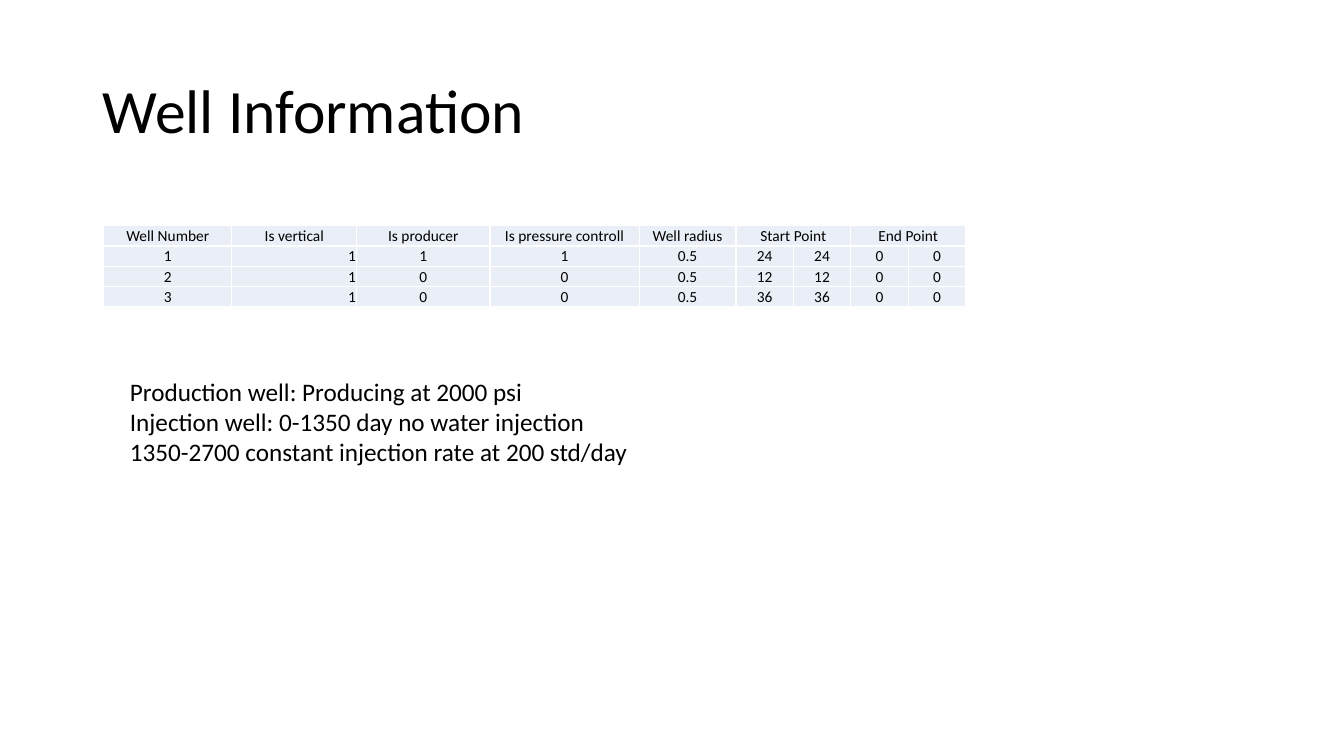
from lxml import etree
from pptx import Presentation
from pptx.dml.color import RGBColor
from pptx.enum.text import MSO_ANCHOR, PP_ALIGN
from pptx.oxml.ns import qn
from pptx.util import Inches, Pt

MIDDLE, TOP, BOTTOM = MSO_ANCHOR.MIDDLE, MSO_ANCHOR.TOP, MSO_ANCHOR.BOTTOM
LEFT, CENTER, RIGHT = PP_ALIGN.LEFT, PP_ALIGN.CENTER, PP_ALIGN.RIGHT

FONT = "Calibri"
BLACK, WHITE, PALE_BLUE = "000000", "FFFFFF", "EAEFF7"

COLUMN_WIDTHS = [1.27, 1.24, 1.32, 1.48, 0.96] + [0.57] * 4
ROW_HEIGHT = 0.2
VERTICAL_COLUMN = 1
WELLS = [
    ["Well Number", "Is vertical", "Is producer", "Is pressure controll",
     "Well radius", "Start Point", "", "End Point", ""],
    ["1", "1", "1", "1", "0.5", "24", "24", "0", "0"],
    ["2", "1", "0", "0", "0.5", "12", "12", "0", "0"],
    ["3", "1", "0", "0", "0.5", "36", "36", "0", "0"],
]
SCHEDULE = [
    "Production well: Producing at 2000 psi",
    "Injection well: 0-1350 day no water injection",
    "1350-2700 constant injection rate at 200 std/day",
]


def color(value):
    return RGBColor.from_string(value)


def write_text(frame, lines, size, align=LEFT, spacing=1.0):
    frame.text = "\n".join(lines)
    for para in frame.paragraphs:
        para.alignment = align
        para.line_spacing = spacing
        para.font.size = Pt(size)
        for span in para.runs:
            span.font.name = FONT
            span.font.size = Pt(size)
            span.font.color.rgb = color(BLACK)


def add_text(page, left, top, width, height, lines, size, anchor=TOP, spacing=1.0):
    box = page.shapes.add_textbox(Inches(left), Inches(top), Inches(width), Inches(height))
    box.text_frame.word_wrap = True
    box.text_frame.vertical_anchor = anchor
    write_text(box.text_frame, lines, size, spacing=spacing)


def add_borders(cell):
    properties = cell._tc.get_or_add_tcPr()
    for side in ("a:lnL", "a:lnR", "a:lnT", "a:lnB"):
        line = etree.SubElement(properties, qn(side), w=str(Pt(1)))
        fill = etree.SubElement(line, qn("a:solidFill"))
        etree.SubElement(fill, qn("a:srgbClr"), val=WHITE)


def style_cell(cell, text, align):
    write_text(cell.text_frame, [text], 11, align)
    cell.vertical_anchor = BOTTOM
    cell.margin_left = cell.margin_right = cell.margin_top = Inches(0.01)
    cell.margin_bottom = 0
    add_borders(cell)
    cell.fill.solid()
    cell.fill.fore_color.rgb = color(PALE_BLUE)


def add_well_table(page, left, top):
    frame = page.shapes.add_table(
        len(WELLS), len(COLUMN_WIDTHS), Inches(left), Inches(top),
        Inches(sum(COLUMN_WIDTHS)), Inches(ROW_HEIGHT * len(WELLS)))
    table = frame.table
    for column, width in zip(table.columns, COLUMN_WIDTHS):
        column.width = Inches(width)
    for row_index, values in enumerate(WELLS):
        table.rows[row_index].height = Inches(ROW_HEIGHT)
        for column_index, value in enumerate(values):
            is_number = row_index > 0 and column_index == VERTICAL_COLUMN
            style_cell(table.cell(row_index, column_index), value,
                       RIGHT if is_number else CENTER)
    for start in (5, 7):
        table.cell(0, start).merge(table.cell(0, start + 1))


def main():
    deck = Presentation()
    deck.slide_width, deck.slide_height = Inches(13.33), Inches(7.5)
    page = deck.slides.add_slide(deck.slide_layouts[6])
    add_text(page, 0.92, 0.4, 11.5, 1.45, ["Well Information"], 44, MIDDLE, 0.9)
    add_well_table(page, 1.03, 2.24)
    add_text(page, 1.19, 3.68, 9.49, 1.01, SCHEDULE, 18)
    deck.save("out.pptx")


if __name__ == "__main__":
    main()
